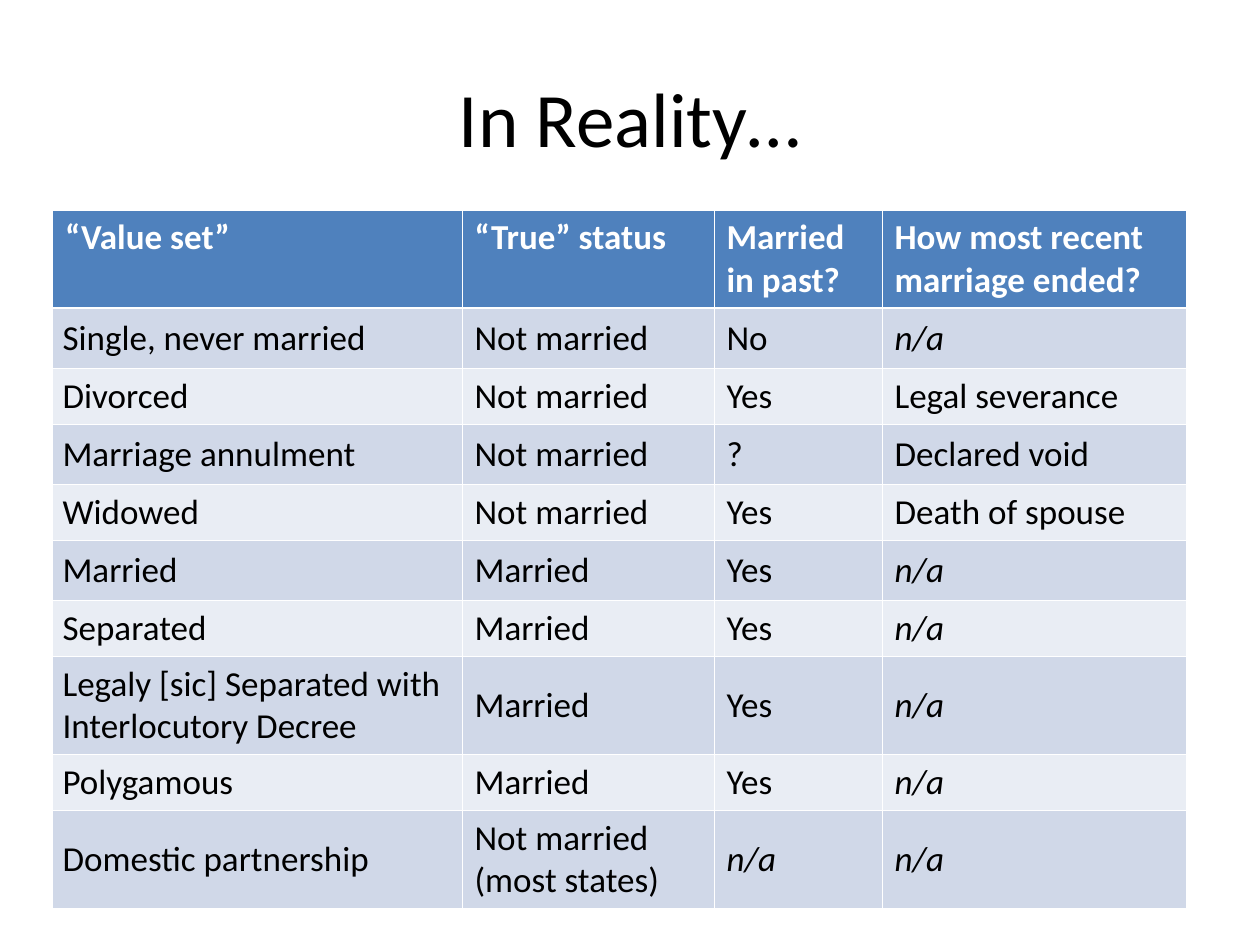
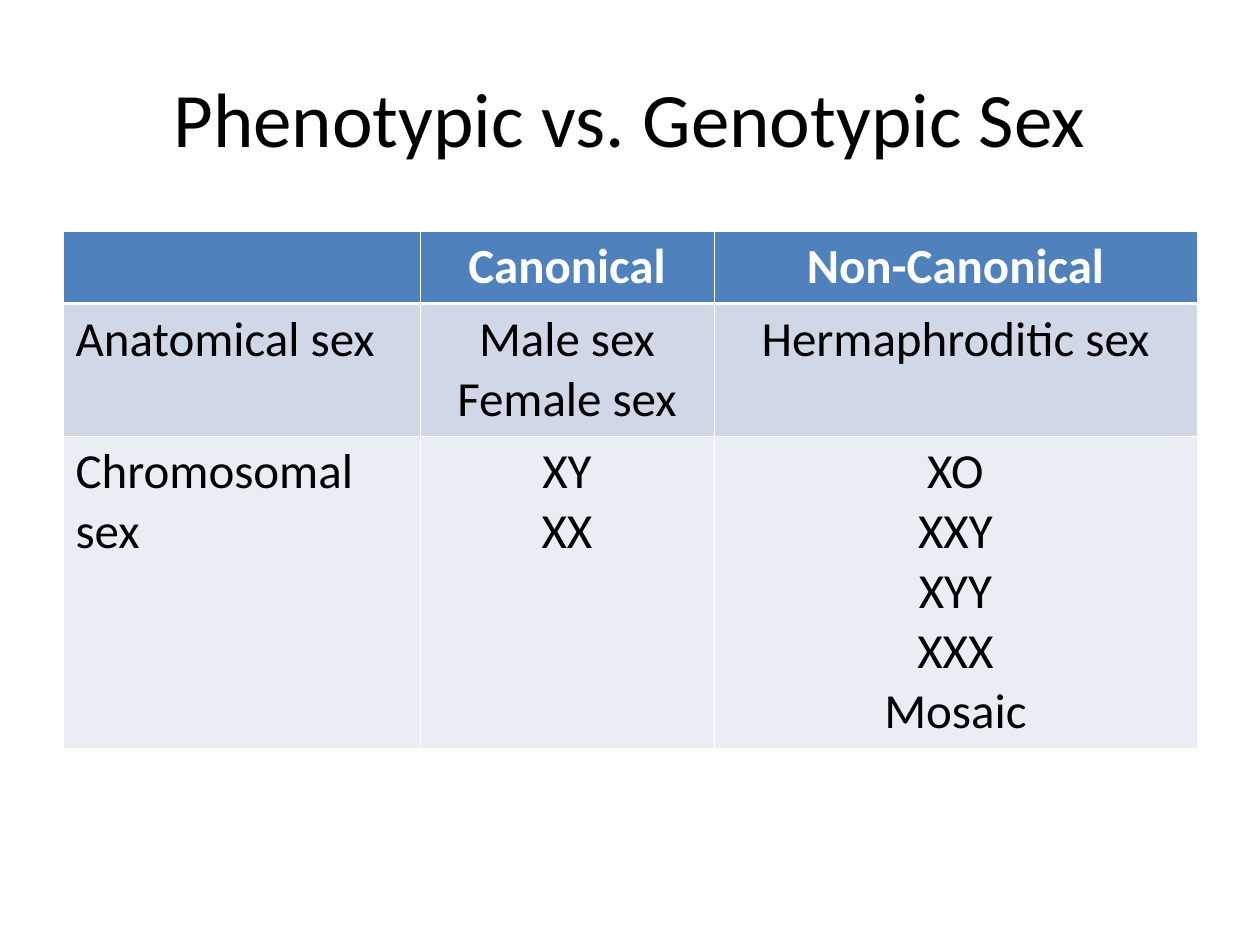
import dataclasses

import lxml.etree
import pptx
import pptx.dml.color
import pptx.enum.text
import pptx.oxml.ns
import pptx.util

ALIGN = pptx.enum.text.PP_ALIGN
ANCHOR = pptx.enum.text.MSO_ANCHOR
COLUMNS, ROWS = 120, 90  # slide grid


@dataclasses.dataclass(frozen=True)
class Theme:
    font: str = "Calibri"
    ink: str = "000000"
    paper: str = "FFFFFF"
    header: str = "4F81BD"
    bands: tuple = ("D0D8E8", "E9EDF4")
    title_size: int = 44
    large_size: int = 28
    small_size: int = 20
    thin: float = 0.45
    thick: float = 1.47


THEME = Theme()
TITLE_BOX = (6, 3.6, 108, 15)  # left, top, width, height in grid units

# Slide 1 content
MARITAL_STATUS = [
    ("“Value set”", "“True” status", "Married in past?", "How most recent marriage ended?"),
    ("Single, never married", "Not married", "No", "n/a"),
    ("Divorced", "Not married", "Yes", "Legal severance"),
    ("Marriage annulment", "Not married", "?", "Declared void"),
    ("Widowed", "Not married", "Yes", "Death of spouse"),
    ("Married", "Married", "Yes", "n/a"),
    ("Separated", "Married", "Yes", "n/a"),
    ("Legaly [sic] Separated with Interlocutory Decree", "Married", "Yes", "n/a"),
    ("Polygamous", "Married", "Yes", "n/a"),
    ("Domestic partnership", "Not married (most states)", "n/a", "n/a"),
]

# Slide 2 content; each line of a cell is a paragraph
SEX_CATEGORIES = [
    ("", "Canonical", "Non-Canonical"),
    ("Anatomical sex", "Male sex\nFemale sex", "Hermaphroditic sex"),
    ("Chromosomal sex", "XY\nXX", "XO\nXXY\nXYY\nXXX\nMosaic"),
]


def across(columns):
    return pptx.util.Inches(10 * columns / COLUMNS)


def down(rows):
    return pptx.util.Inches(7.5 * rows / ROWS)


def place(box):
    left, top, width, height = box
    return across(left), down(top), across(width), down(height)


def rgb(color):
    return pptx.dml.color.RGBColor.from_string(color)


def write_text(frame, text, size, color=THEME.ink, bold=False, italic=False, align=ALIGN.LEFT):
    for index, line in enumerate(text.split("\n")):
        paragraph = frame.add_paragraph() if index else frame.paragraphs[0]
        paragraph.alignment = align
        if not line:
            continue
        run = paragraph.add_run()
        run.text = line
        run.font.name = THEME.font
        run.font.size = pptx.util.Pt(size)
        run.font.color.rgb = rgb(color)
        run.font.bold, run.font.italic = bold, italic


def set_borders(cell, top, bottom):
    """Draw the white rules; border elements come before the fill."""
    properties = cell._tc.get_or_add_tcPr()
    widths = {"lnL": THEME.thin, "lnR": THEME.thin, "lnT": top, "lnB": bottom}
    for index, (side, width) in enumerate(widths.items()):
        line = lxml.etree.Element(pptx.oxml.ns.qn(f"a:{side}"), w=str(pptx.util.Pt(width)))
        fill = lxml.etree.SubElement(line, pptx.oxml.ns.qn("a:solidFill"))
        lxml.etree.SubElement(fill, pptx.oxml.ns.qn("a:srgbClr"), val=THEME.paper)
        properties.insert(index, line)


def add_title(slide, box, text):
    title = slide.shapes.title
    title.left, title.top, title.width, title.height = place(box)
    title.text_frame.vertical_anchor = ANCHOR.MIDDLE
    write_text(title.text_frame, text, THEME.title_size, align=ALIGN.CENTER)


def add_banded_table(slide, origin, widths, heights, records, size,
                     value_align=ALIGN.LEFT, body_anchor=ANCHOR.TOP, label_inset=0.1):
    box = (*origin, sum(widths), sum(heights))
    table = slide.shapes.add_table(len(heights), len(widths), *place(box)).table
    for column, width in zip(table.columns, widths):
        column.width = across(width)
    for row, height in zip(table.rows, heights):
        row.height = down(height)

    for row_index, record in enumerate(records):
        is_header = row_index == 0
        for column_index, text in enumerate(record):
            cell = table.cell(row_index, column_index)
            is_label = column_index == 0
            cell.fill.solid()
            cell.fill.fore_color.rgb = rgb(THEME.header if is_header else THEME.bands[(row_index - 1) % 2])
            cell.vertical_anchor = ANCHOR.TOP if is_header else body_anchor
            if is_label and not is_header:
                cell.margin_left = cell.margin_right = pptx.util.Inches(label_inset)
            set_borders(cell, top=THEME.thick if row_index == 1 else THEME.thin,
                        bottom=THEME.thick if is_header else THEME.thin)
            write_text(cell.text_frame, text, size,
                       color=THEME.paper if is_header else THEME.ink,
                       bold=is_header, italic=text == "n/a",
                       align=ALIGN.LEFT if is_label else value_align)


def add_table_slide(presentation, title, **table_format):
    slide = presentation.slides.add_slide(presentation.slide_layouts.get_by_name("Title Only"))
    add_title(slide, TITLE_BOX, title)
    add_banded_table(slide, **table_format)


def main():
    presentation = pptx.Presentation()
    presentation.slide_width, presentation.slide_height = across(COLUMNS), down(ROWS)

    # Marital status
    odd, even, double = 5.75, 5.3, 9.25
    add_table_slide(presentation, "In Reality…", origin=(5, 20), widths=(39, 24, 16, 29),
                    heights=(double, *(odd, even) * 3, 9, even, double),
                    records=MARITAL_STATUS, size=THEME.small_size,
                    body_anchor=ANCHOR.MIDDLE, label_inset=0.08)

    # Sex categories
    add_table_slide(presentation, "Phenotypic vs. Genotypic Sex", origin=(6, 22),
                    widths=(34, 28, 46), heights=(6.8, 12.5, 29.25),
                    records=SEX_CATEGORIES, size=THEME.large_size, value_align=ALIGN.CENTER)

    presentation.save("out.pptx")


if __name__ == "__main__":
    main()
